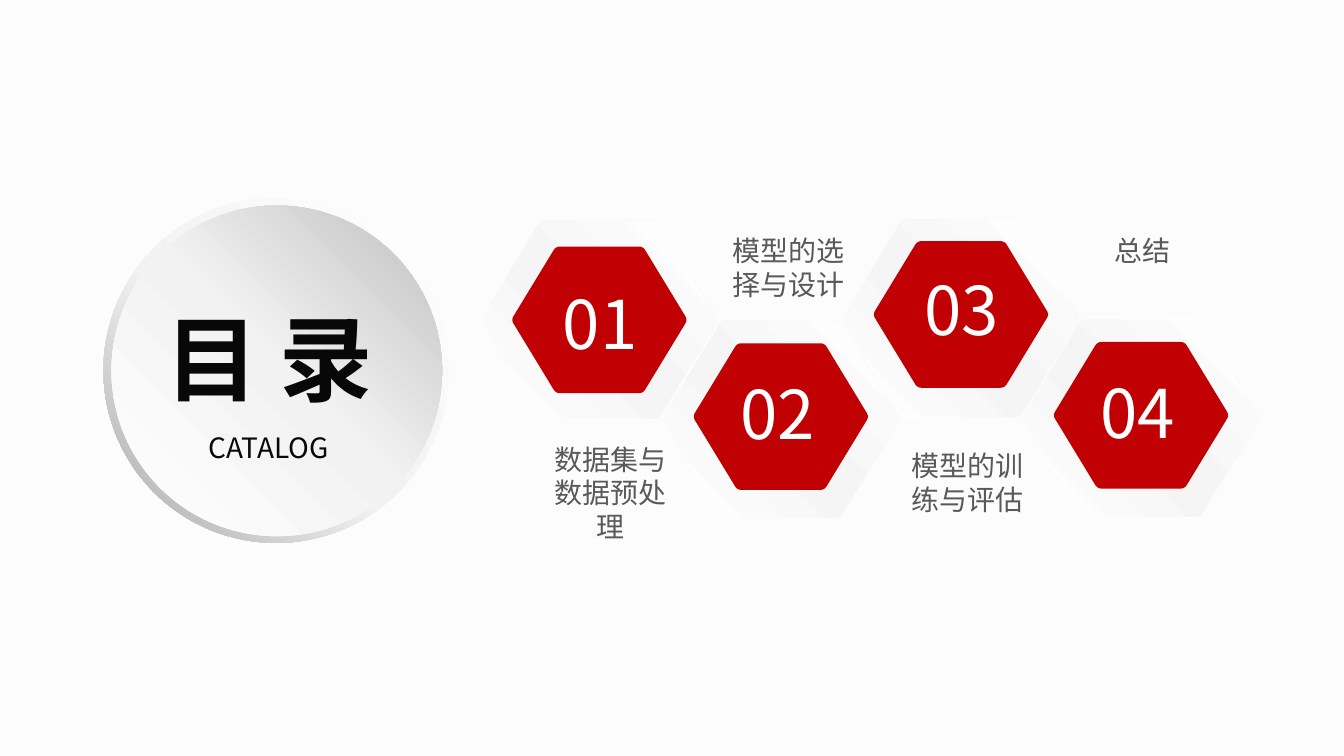
from copy import deepcopy

from pptx import Presentation
from pptx.dml.color import RGBColor
from pptx.enum.shapes import MSO_SHAPE
from pptx.enum.text import MSO_ANCHOR, MSO_AUTO_SIZE, PP_ALIGN
from pptx.oxml.ns import qn
from pptx.util import Inches, Pt

FONT = "Noto Sans CJK SC"
PAPER = RGBColor(0xFC, 0xFC, 0xFC)
WHITE = RGBColor(0xFF, 0xFF, 0xFF)
PALE = RGBColor(0xF5, 0xF5, 0xF5)
LIGHT = RGBColor(0xF2, 0xF2, 0xF2)
SILVER = RGBColor(0xBF, 0xBF, 0xBF)
STEEL = RGBColor(0xA6, 0xA6, 0xA6)
GRAY = RGBColor(0x59, 0x59, 0x59)
INK = RGBColor(0x08, 0x08, 0x08)
RED = RGBColor(0xC0, 0x00, 0x02)

# Sharp hexagon corners for a rounded width of 1.75 inches
HEXAGON = [(0.89, 0), (0.44, 0.74), (-0.44, 0.74),
           (-0.89, 0), (-0.44, -0.74), (0.44, -0.74)]
CORNER = 0.05  # share of each side that is rounded off
CURVE_STEPS = 6

# Number, plate centre, red centre, number box, label, label box
CHAPTERS = [
    ("03", (7.15, 2.37), (7.15, 2.34), (6.78, 1.95, 0.93, 0.71),
     "模型的训练与评估", (6.64, 3.29, 1.12, 0.86)),
    ("01", (4.46, 2.38), (4.46, 2.38), (4.09, 2.05, 0.85, 0.71),
     "数据集与数据预处理", (3.98, 3.24, 1.12, 0.86)),
    ("02", (5.81, 3.12), (5.81, 3.1), (5.41, 2.72, 0.89, 0.71),
     "模型的选择与设计", (5.31, 1.69, 1.12, 0.6)),
    ("04", (8.49, 3.11), (8.49, 3.09), (8.09, 2.71, 0.87, 0.71),
     "总结", (7.94, 1.69, 1.12, 0.6)),
]


def paint_solid(shape, color):
    shape.shadow.inherit = False
    shape.line.fill.background()
    shape.fill.solid()
    shape.fill.fore_color.rgb = color


def paint_gradient(shape, colors, middle, angle):
    """Fill with three colours; the angle runs counter-clockwise."""
    shape.shadow.inherit = False
    shape.line.fill.background()
    shape.fill.gradient()
    shape.fill.gradient_angle = angle
    stop_list = shape._element.spPr.find(".//" + qn("a:gsLst"))
    stop_list.append(deepcopy(stop_list[-1]))
    for stop, color, position in zip(shape.fill.gradient_stops, colors, (0, middle, 1)):
        stop.color.rgb = color
        stop.position = position


def add_round(page, preset, left, top, size):
    return page.shapes.add_shape(preset, Inches(left), Inches(top), Inches(size), Inches(size))


def between(start, end, share):
    return tuple(a + (b - a) * share for a, b in zip(start, end))


def rounded_outline():
    """Points of the hexagon with each corner drawn as a quadratic curve."""
    points = []
    for index, corner in enumerate(HEXAGON):
        entry = between(corner, HEXAGON[index - 1], CORNER)
        leave = between(corner, HEXAGON[(index + 1) % len(HEXAGON)], CORNER)
        for step in range(CURVE_STEPS + 1):
            share = step / CURVE_STEPS
            points.append(between(between(entry, corner, share),
                                  between(corner, leave, share), share))
    return points


def add_hexagon(page, center, width):
    scale = width / 1.75
    points = [(Inches(center[0] + x * scale), Inches(center[1] + y * scale))
              for x, y in rounded_outline()]
    builder = page.shapes.build_freeform(*points[0])
    builder.add_line_segments(points[1:], close=True)
    return builder.convert_to_shape()


def add_text(page, place, text, size, color, align=PP_ALIGN.LEFT, bold=False):
    box = page.shapes.add_textbox(*map(Inches, place))
    frame = box.text_frame
    frame.word_wrap = True
    frame.auto_size = MSO_AUTO_SIZE.SHAPE_TO_FIT_TEXT
    frame.text = text
    para = frame.paragraphs[0]
    para.alignment = align
    span = para.runs[0]
    span.font.size = Pt(size)
    span.font.bold = bold
    span.font.color.rgb = color
    span.font.name = FONT
    # Chinese characters take the East Asian typeface
    east_asian = span.font._element.makeelement(qn("a:ea"), {"typeface": FONT})
    span.font._element.append(east_asian)
    return box


def add_title_disc(page):
    ring = add_round(page, MSO_SHAPE.DONUT, 0.77, 1.47, 2.57)
    ring.adjustments[0] = 0.05
    paint_gradient(ring, (WHITE, LIGHT, STEEL), 0.55, 225)
    disc = add_round(page, MSO_SHAPE.OVAL, 0.83, 1.53, 2.46)
    paint_gradient(disc, (WHITE, LIGHT, SILVER), 0.51, 45)
    add_text(page, (1.13, 2.19, 1.81, 0.94), "目 录", 50, INK, bold=True)
    subtitle = add_text(page, (1.25, 3.12, 1.5, 0.42), "CATALOG", 15, INK, PP_ALIGN.CENTER)
    frame = subtitle.text_frame
    frame.auto_size = MSO_AUTO_SIZE.NONE
    frame.vertical_anchor = MSO_ANCHOR.MIDDLE
    frame.margin_left = frame.margin_right = Inches(0.07)
    frame.margin_top = frame.margin_bottom = Inches(0.04)


def add_badge(page, number, plate_center, red_center, number_place):
    paint_solid(add_hexagon(page, plate_center, 1.75), WHITE)
    paint_gradient(add_hexagon(page, plate_center, 1.74), (WHITE, PALE, WHITE), 0.47, 45)
    paint_solid(add_hexagon(page, red_center, 1.29), RED)
    add_text(page, number_place, number, 36, WHITE)


def main():
    # Widescreen page, 16 to 9
    deck = Presentation()
    deck.slide_width = Inches(10)
    deck.slide_height = Inches(10 * 9 / 16)
    page = deck.slides.add_slide(deck.slide_layouts[6])
    page.background.fill.solid()
    page.background.fill.fore_color.rgb = PAPER

    add_title_disc(page)

    # Numbered badges, then their labels on top
    for number, plate_center, red_center, number_place, _, _ in CHAPTERS:
        add_badge(page, number, plate_center, red_center, number_place)
    for *_, label, label_place in CHAPTERS:
        add_text(page, label_place, label, 15, GRAY, PP_ALIGN.CENTER)

    deck.save("out.pptx")


if __name__ == "__main__":
    main()
